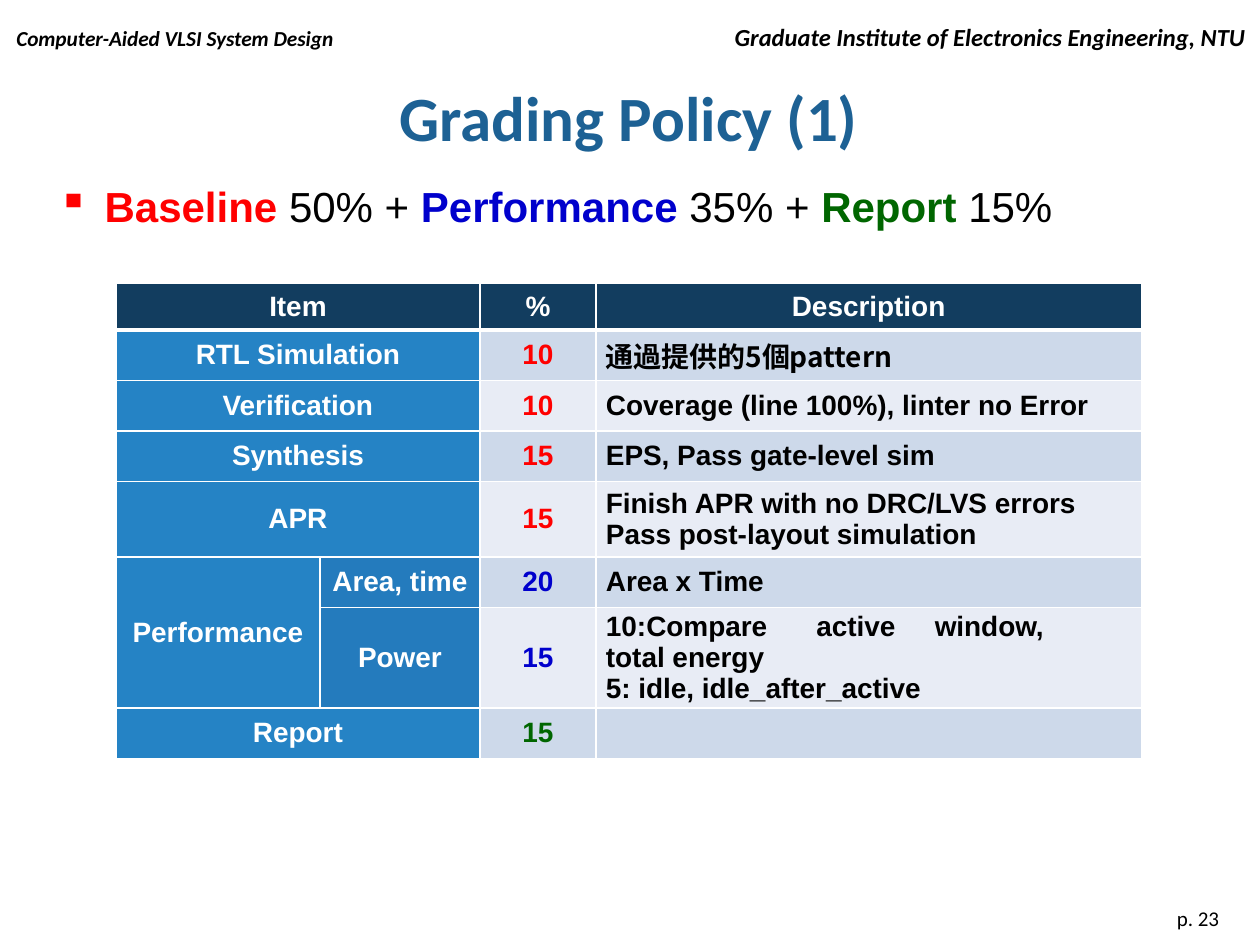
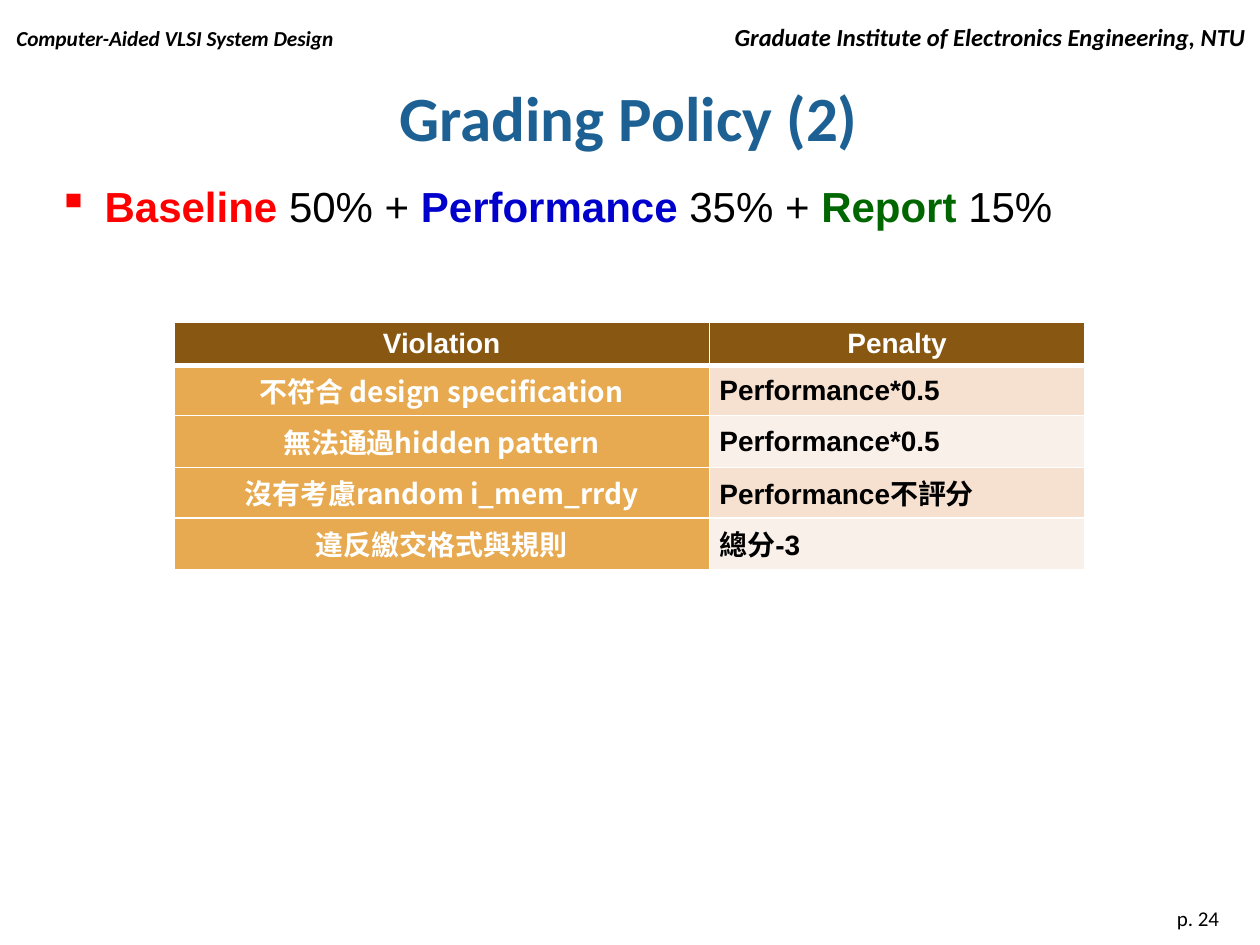
from lxml.etree import SubElement
from pptx import Presentation
from pptx.dml.color import RGBColor
from pptx.enum.text import MSO_ANCHOR, PP_ALIGN
from pptx.oxml.ns import qn
from pptx.util import Inches, Pt

BLACK = RGBColor(0x00, 0x00, 0x00)
WHITE = RGBColor(0xFF, 0xFF, 0xFF)
RED = RGBColor(0xFF, 0x00, 0x00)
BLUE = RGBColor(0x00, 0x00, 0xCC)
GREEN = RGBColor(0x00, 0x66, 0x00)
TITLE_BLUE = RGBColor(0x1D, 0x61, 0x94)
NAVY = RGBColor(0x12, 0x3D, 0x5F)
ITEM_BLUE = RGBColor(0x25, 0x83, 0xC5)
SUBITEM_BLUE = RGBColor(0x24, 0x7B, 0xBD)
BLUE_BANDS = RGBColor(0xCD, 0xD9, 0xEA), RGBColor(0xE8, 0xEC, 0xF5)
BROWN = RGBColor(0x88, 0x58, 0x12)
AMBER = RGBColor(0xE7, 0xAA, 0x50)
AMBER_BANDS = RGBColor(0xF6, 0xE1, 0xD0), RGBColor(0xF9, 0xF0, 0xE9)

HEADING, BODY, CJK = "Calibri", "Arial", "Noto Sans CJK TC"

GRADES = [
    ("Item", "", "%", "Description"),
    ("RTL Simulation", "", "10", "通過提供的5個pattern"),
    ("Verification", "", "10", "Coverage (line 100%), linter no Error"),
    ("Synthesis", "", "15", "EPS, Pass gate-level sim"),
    ("APR", "", "15",
     "Finish APR with no DRC/LVS errors Pass post-layout simulation"),
    ("Performance", "Area, time", "20", "Area x Time"),
    ("", "Power", "15",
     "10:Compare\tactive\twindow,\ttotal energy\n5: idle, idle_after_active"),
    ("Report", "", "15", ""),
]
PERFORMANCE_ROW, POWER_ROW, REPORT_ROW = 5, 6, 7

PENALTIES = [
    ("Violation", "Penalty"),
    ("不符合 design specification", "Performance*0.5"),
    ("無法通過hidden pattern", "Performance*0.5"),
    ("沒有考慮random i_mem_rrdy", "Performance不評分"),
    ("違反繳交格式與規則", "總分-3"),
]


def style_run(r, size, color, font, bold=False):
    """Set size, colour, weight and the Latin and East Asian fonts of a run."""
    r.font.size, r.font.bold = Pt(size), bold
    r.font.color.rgb = color
    r.font.name = font
    SubElement(r._r.get_or_add_rPr(), qn("a:ea"), typeface=CJK)


def add_run(p, text, size, color, font, bold=False):
    """Append a styled run to a paragraph."""
    r = p.add_run()
    r.text = text
    style_run(r, size, color, font, bold)
    return r


def add_tabs(p, *stops):
    """Add left tab stops, given in inches, to a paragraph."""
    tabs = SubElement(p._p.get_or_add_pPr(), qn("a:tabLst"))
    for stop in stops:
        SubElement(tabs, qn("a:tab"), pos=str(Inches(stop)), algn="l")


def add_line(s, left, top, width, height):
    """Add a text box without margins and return its first paragraph."""
    box = s.shapes.add_textbox(*map(Inches, (left, top, width, height)))
    tf = box.text_frame
    tf.word_wrap = True
    tf.margin_left = tf.margin_right = tf.margin_bottom = 0
    tf.margin_top = Inches(0.01)
    return tf.paragraphs[0]


def add_frame(s, title, page):
    """Add the running header, the title and the page number."""
    p = add_line(s, 0.13, 0.07, 9.86, 0.26)
    add_tabs(p, 5.7)
    course = add_run(p, "Computer-Aided VLSI System Design\t", 21, BLACK, HEADING, True)
    course._r.get_or_add_rPr().set("baseline", "2000")
    institute = "Graduate Institute of Electronics Engineering, NTU"
    add_run(p, institute, 14, BLACK, HEADING, True)
    for r in p.runs:
        r.font.italic = True

    p = add_line(s, 1.73, 0.61, 6.52, 0.63)
    p.alignment = PP_ALIGN.CENTER
    add_run(p, title, 36, TITLE_BLUE, HEADING, True)

    p = add_line(s, 9.34, 7.18, 0.5, 0.2)
    add_run(p, f"p. {page}", 12, BLACK, HEADING)


def add_policy(s, left, top):
    """Add the bullet that shows how the grade is split."""
    p = add_line(s, left, top, 8.2, 0.43)
    pPr = p._p.get_or_add_pPr()
    pPr.set("marL", str(Inches(0.39)))
    pPr.set("indent", str(Inches(-0.37)))
    color = SubElement(pPr, qn("a:buClr"))
    SubElement(color, qn("a:srgbClr"), val=str(RED))
    SubElement(pPr, qn("a:buChar"), char="▪")
    parts = [("Baseline ", RED, "50% + "), ("Performance ", BLUE, "35% + "),
             ("Report ", GREEN, "15%")]
    for name, color, share in parts:
        add_run(p, name, 24, color, BODY, True)
        add_run(p, share, 24, BLACK, BODY)


def add_border(cell, side, width):
    """Draw a white border on one side of a cell."""
    ln = SubElement(cell._tc.get_or_add_tcPr(), qn(f"a:ln{side}"), w=str(Pt(width)))
    fill = SubElement(ln, qn("a:solidFill"))
    SubElement(fill, qn("a:srgbClr"), val=str(WHITE))


def fill_cell(cell, text, fill, color, font=BODY, centred=True):
    """Write bold text into a cell and colour it."""
    cell.fill.solid()
    cell.fill.fore_color.rgb = fill
    cell.vertical_anchor = MSO_ANCHOR.MIDDLE
    cell.margin_top = cell.margin_bottom = 0
    cell.margin_left = 0 if centred else Inches(0.08)
    cell.margin_right = 0 if centred else Inches(0.25)
    cell.text_frame.text = text
    for p in cell.text_frame.paragraphs:
        p.alignment = PP_ALIGN.CENTER if centred else PP_ALIGN.LEFT
        for r in p.runs:
            style_run(r, 16, color, font, True)


def add_grid(s, left, top, widths, heights):
    """Add a table with white borders and a thick line below its header."""
    size = map(Inches, (left, top, sum(widths), sum(heights)))
    table = s.shapes.add_table(len(heights), len(widths), *size).table
    table.horz_banding = False
    for column, width in zip(table.columns, widths):
        column.width = Inches(width)
    for i, (row, height) in enumerate(zip(table.rows, heights)):
        row.height = Inches(height)
        for cell in row.cells:
            for side, width in zip("LRTB", (1, 1, 3 if i == 1 else 1, 3 if i == 0 else 1)):
                add_border(cell, side, width)
    return table


def add_grades(s, left, top):
    """Add the table of graded items."""
    heights = [0.37, 0.4, 0.4, 0.4, 0.6, 0.4, 0.8, 0.4]
    table = add_grid(s, left, top, [1.62, 1.27, 0.92, 4.33], heights)
    for i, (item, part, percent, description) in enumerate(GRADES):
        band = BLUE_BANDS[(i - 1) % 2] if i else NAVY
        if i == 0:
            percent_color = WHITE
        elif i < PERFORMANCE_ROW:
            percent_color = RED
        else:
            percent_color = GREEN if i == REPORT_ROW else BLUE
        fill_cell(table.cell(i, 0), item, ITEM_BLUE if i else NAVY, WHITE)
        fill_cell(table.cell(i, 1), part, SUBITEM_BLUE if i else NAVY, WHITE)
        fill_cell(table.cell(i, 2), percent, band, percent_color)
        fill_cell(table.cell(i, 3), description, band, BLACK if i else WHITE,
                  CJK if i == 1 else BODY, centred=i == 0)
        if not part:
            table.cell(i, 0).merge(table.cell(i, 1))
    table.cell(PERFORMANCE_ROW, 0).merge(table.cell(POWER_ROW, 0))
    add_tabs(table.cell(POWER_ROW, 3).text_frame.paragraphs[0], 1.67, 2.61, 3.79)


def add_penalties(s, left, top):
    """Add the table of violations and their penalties."""
    table = add_grid(s, left, top, [4.25, 2.98], [0.34, 0.4, 0.41, 0.4, 0.41])
    for i, (violation, penalty) in enumerate(PENALTIES):
        band = AMBER_BANDS[(i - 1) % 2] if i else BROWN
        fill_cell(table.cell(i, 0), violation, AMBER if i else BROWN, WHITE,
                  CJK if i else BODY)
        fill_cell(table.cell(i, 1), penalty, band, BLACK if i else WHITE,
                  centred=i == 0)


def main():
    """Build both grading slides and save them."""
    prs = Presentation()
    prs.slide_width, prs.slide_height = Inches(10), Inches(7.5)
    tables = [(add_grades, 0.92, 2.25), (add_penalties, 1.38, 2.56)]
    for number, (add_table, left, top) in enumerate(tables, 1):
        s = prs.slides.add_slide(prs.slide_layouts[6])
        add_frame(s, f"Grading Policy ({number})", 22 + number)
        add_policy(s, 0.44, 1.42)
        add_table(s, left, top)
    prs.save("out.pptx")


if __name__ == "__main__":
    main()
